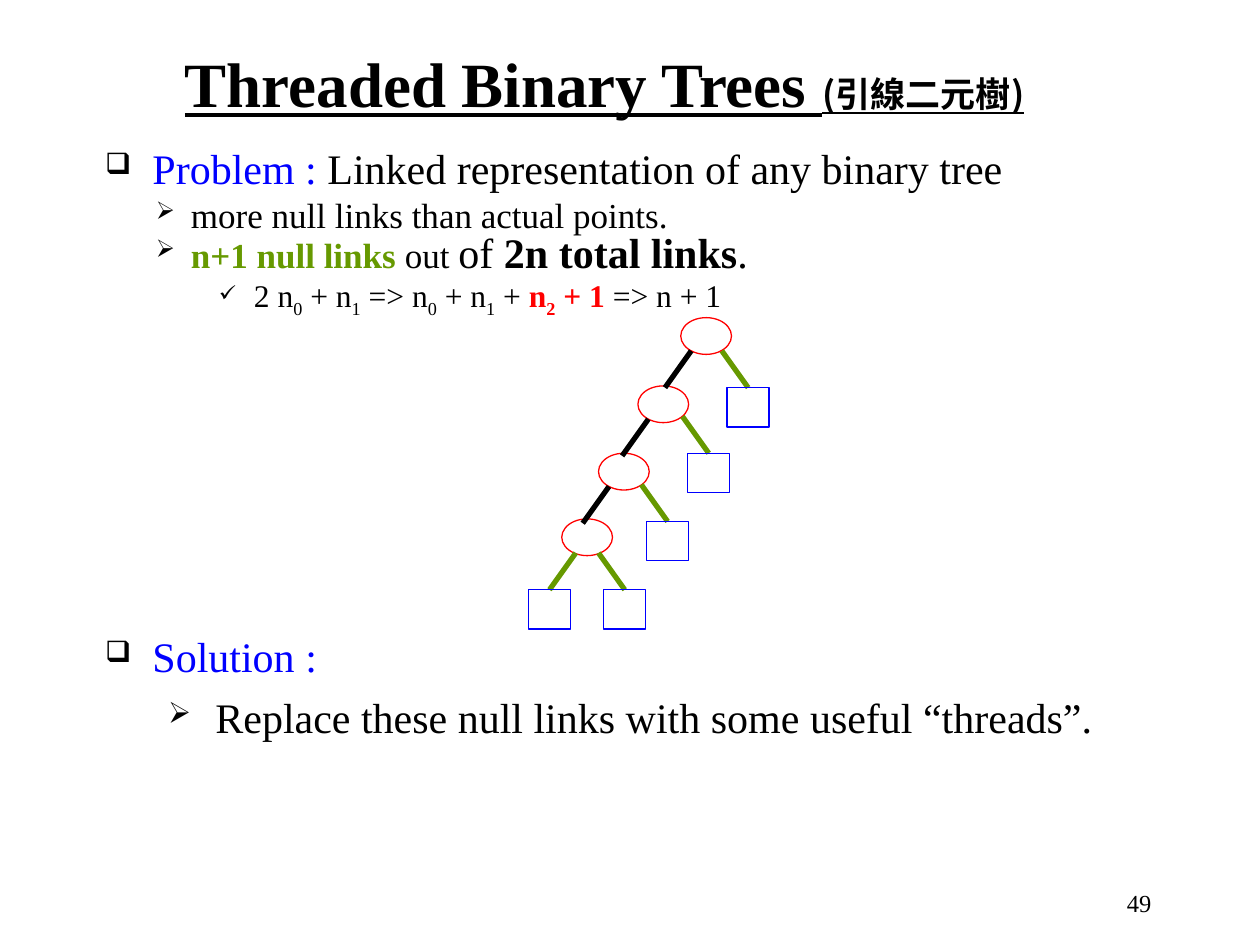
from lxml import etree
from pptx import Presentation
from pptx.dml.color import RGBColor
from pptx.enum.shapes import MSO_CONNECTOR, MSO_SHAPE
from pptx.enum.text import MSO_ANCHOR, PP_ALIGN
from pptx.oxml.ns import qn
from pptx.util import Pt

ELLIPSE, SQUARE = MSO_SHAPE.OVAL, MSO_SHAPE.RECTANGLE
STRAIGHT = MSO_CONNECTOR.STRAIGHT
BOTTOM = MSO_ANCHOR.BOTTOM
CENTER, RIGHT = PP_ALIGN.CENTER, PP_ALIGN.RIGHT

SERIF, CJK = "Times New Roman", "Noto Sans CJK SC"
BLACK, BLUE, GREEN, RED = "000000", "0000FF", "669900", "FF0000"

# Paragraphs: bullet, level, left indent, hanging, line pitch, space before,
# size, and runs of (text, format).
HEAD = {"color": BLUE}
OUTLINE = [
    ("❑", 0, 27, 27, None, 0, 24,
     [("Problem : ", HEAD), ("Linked representation of any binary tree", {})]),
    ("➢", 0, 49, 20, 18, 6, 20, [("more null links than actual points.", {})]),
    ("➢", 0, 49, 20, 18, 6, 20,
     [("n+1 null links ", {"color": GREEN, "bold": True}), ("out ", {}),
      ("of ", {"size": 24}), ("2n total links", {"size": 24, "bold": True}),
      (".", {"size": 24})]),
    ("✓", 1, 85, 20, 18, 6, 18,
     [("2 n", {}), ("0", {"sub": True}), (" + n", {}), ("1", {"sub": True}),
      (" => n", {}), ("0", {"sub": True}), (" + n", {}), ("1", {"sub": True}),
      (" + ", {}), ("n", {"color": RED, "bold": True}),
      ("2", {"color": RED, "bold": True, "sub": True}),
      (" + 1 ", {"color": RED, "bold": True}), ("=> n + 1", {})]),
    ("❑", 0, 27, 27, None, 178, 24, [("Solution :", HEAD)]),
    ("➢", 1, 63, 27, None, 6, 24,
     [("Replace these null links with some useful “threads”.", {})]),
]

# Tree parts, relative to the tree's top left corner
NODES = [(87, 0), (62.5, 39), (40, 77.5), (19, 115)]
RIGHT_LEAVES = [(113.5, 40), (91, 77.5), (67.5, 116.5), (43, 155.5)]
LAST_LEFT_LEAF = (0, 155.5)
NODE_SIZE, LEAF_SIZE = (29, 21), (24, 22.5)
EDGE_RUN, EDGE_DROP = 15, 21


def rgb(color):
    return RGBColor.from_string(color)


def style_font(font, size, color=BLACK, bold=False, name=SERIF):
    font.name, font.size, font.bold = name, Pt(size), bold
    font.color.rgb = rgb(color)


def add_bullet(paragraph, char, left, hanging):
    props = paragraph._p.get_or_add_pPr()
    props.set("marL", str(Pt(left)))
    props.set("indent", str(Pt(-hanging)))
    bullet_color = etree.SubElement(props, qn("a:buClr"))
    etree.SubElement(bullet_color, qn("a:srgbClr"), val=BLACK)
    etree.SubElement(props, qn("a:buSzPct"), val="70000")
    etree.SubElement(props, qn("a:buChar"), char=char)


def add_title(slide, left, top, width, height):
    title = slide.shapes.title
    title.left, title.top, title.width, title.height = map(
        Pt, (left, top, width, height))
    frame = title.text_frame
    frame.word_wrap = False
    frame.vertical_anchor = BOTTOM
    heading = frame.paragraphs[0]
    heading.alignment = CENTER
    for text, size, name in (("Threaded Binary Trees ", 36, SERIF),
                             ("(引線二元樹)", 20, CJK)):
        run = heading.add_run()
        run.text = text
        style_font(run.font, size, bold=True, name=name)
        run.font.underline = True
        etree.SubElement(run._r.get_or_add_rPr(), qn("a:ea"), typeface=name)


def add_outline(slide, left, top, width, height):
    frame = slide.shapes.add_textbox(
        Pt(left), Pt(top), Pt(width), Pt(height)).text_frame
    frame.word_wrap = True
    for i, (char, level, indent, hanging, pitch, before, size, runs) in enumerate(OUTLINE):
        paragraph = frame.add_paragraph() if i else frame.paragraphs[0]
        paragraph.level = level
        add_bullet(paragraph, char, indent, hanging)
        if pitch:
            paragraph.line_spacing = Pt(pitch)
        if before:
            paragraph.space_before = Pt(before)
        for text, style in runs:
            run = paragraph.add_run()
            run.text = text
            style_font(run.font, style.get("size", size),
                       style.get("color", BLACK), style.get("bold", False))
            if style.get("sub"):
                run._r.get_or_add_rPr().set("baseline", "-25000")


def add_tree(slide, left, top):
    parts = slide.shapes.add_group_shape().shapes

    def add_box(kind, position, size, color):
        x, y = position
        box = parts.add_shape(kind, Pt(left + x), Pt(top + y), *map(Pt, size))
        box.shadow.inherit = False
        box.fill.background()
        box.line.color.rgb = rgb(color)
        box.line.width = Pt(0.75)
        return box

    def add_edge(x, y, run, color):
        """Draw the link that comes down to (x, y)."""
        edge = parts.add_connector(STRAIGHT, Pt(left + x - run),
                                   Pt(top + y - EDGE_DROP),
                                   Pt(left + x), Pt(top + y))
        edge.line.color.rgb = rgb(color)
        edge.line.width = Pt(3)
        etree.SubElement(edge._element.spPr, qn("a:effectLst"))
        return edge

    def add_null_link(position, run):
        x, y = position
        edge = add_edge(x + LEAF_SIZE[0] / 2, y, run, GREEN)
        edge.end_connect(add_box(SQUARE, position, LEAF_SIZE, BLUE), 0)

    for node, leaf in zip(NODES, RIGHT_LEAVES):
        add_box(ELLIPSE, node, NODE_SIZE, RED)
        add_null_link(leaf, EDGE_RUN)
    for x, y in NODES[:-1]:
        add_edge(x - 9, y + 40, -EDGE_RUN, BLACK)
    add_null_link(LAST_LEFT_LEAF, -EDGE_RUN)


def add_page_number(slide, left, top, width, height):
    number = slide.shapes.add_textbox(
        Pt(left), Pt(top), Pt(width), Pt(height)).text_frame.paragraphs[0]
    number.text = "49"
    number.alignment = RIGHT
    style_font(number.font, 14)


def main():
    deck = Presentation()
    deck.slide_width, deck.slide_height = Pt(720), Pt(540)
    slide = deck.slides.add_slide(deck.slide_layouts[5])
    add_page_number(slide, 515, 504, 150, 36)
    add_outline(slide, 53, 78, 630, 445)
    add_title(slide, 93.5, 21.5, 504, 51)
    add_tree(slide, 302, 181.5)
    deck.save("out.pptx")


if __name__ == "__main__":
    main()
